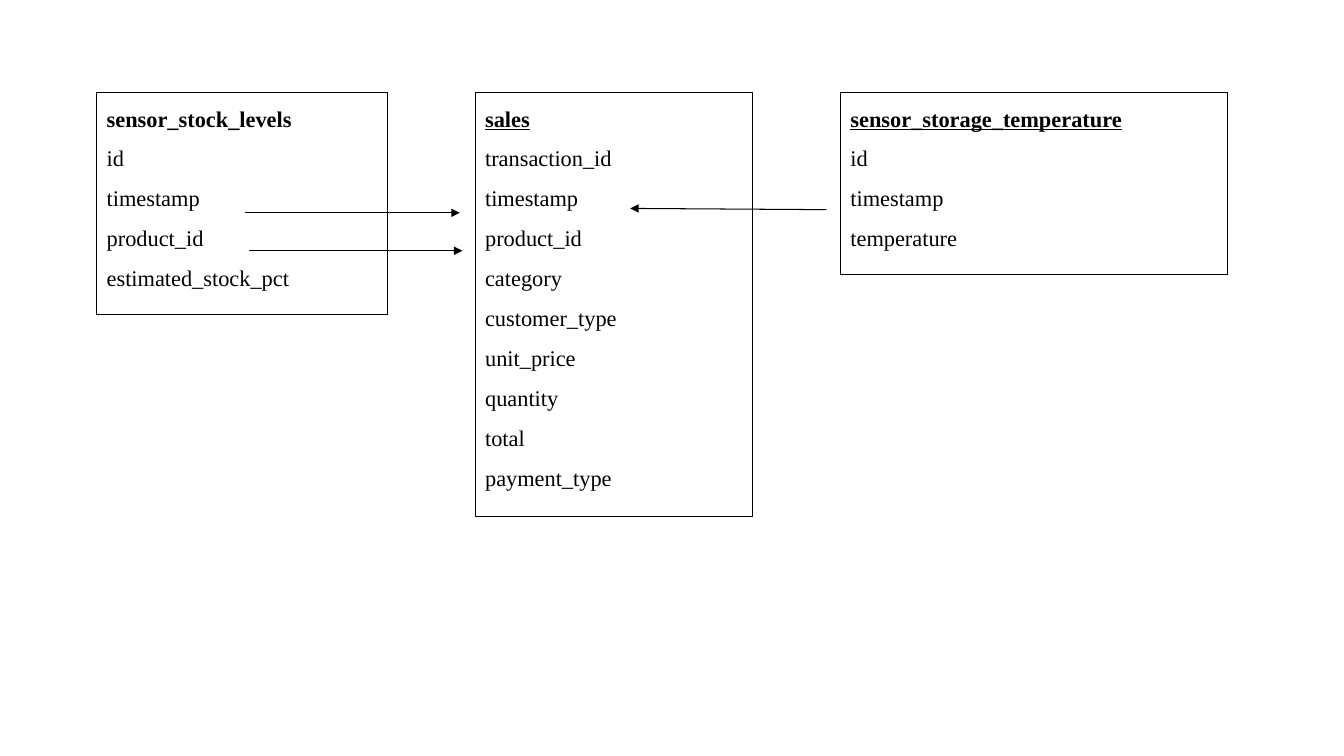
from lxml import etree
from pptx import Presentation
from pptx.dml.color import RGBColor
from pptx.enum.shapes import MSO_CONNECTOR, MSO_SHAPE
from pptx.enum.text import MSO_ANCHOR, MSO_AUTO_SIZE, PP_ALIGN
from pptx.oxml.ns import qn
from pptx.util import Inches, Pt

RECT = MSO_SHAPE.RECTANGLE
STRAIGHT = MSO_CONNECTOR.STRAIGHT
TOP, LEFT = MSO_ANCHOR.TOP, PP_ALIGN.LEFT
GROW = MSO_AUTO_SIZE.SHAPE_TO_FIT_TEXT

SLIDE_W, SLIDE_H = 13.33, 7.5
GRID_TOP = 0.92
ROW_H = 0.4
INSET = 0.1
INK = "000000"

# left and width in percent of the slide width, title underlined, title, fields
ENTITIES = [
    (35.36, 20.67, True, "sales",
     ["transaction_id", "timestamp", "product_id", "category", "customer_type",
      "unit_price", "quantity", "total", "payment_type"]),
    (62.54, 28.79, True, "sensor_storage_temperature",
     ["id", "timestamp", "temperature"]),
    (7.2, 21.64, False, "sensor_stock_levels",
     ["id", "timestamp", "product_id", "estimated_stock_pct"]),
]

# (percent across, rows down) of the start and of the arrowhead
RELATIONS = [
    ((18.53, 3.92), (34.4, 3.92)),
    ((18.23, 2.98), (34.21, 2.98)),
    ((61.48, 2.9), (46.89, 2.87)),
]


def color(value):
    return RGBColor.from_string(value)


def across(percent):
    return Inches(SLIDE_W * percent / 100)


def down(rows):
    return Inches(GRID_TOP + ROW_H * rows)


def style_line(line):
    line.color.rgb = color(INK)
    line.width = Pt(0.75)


def write(p, text, bold=False, underline=False, size=16, font="Times New Roman"):
    p.alignment = LEFT
    p.line_spacing = 1.07
    p.space_after = Pt(8)
    r = p.add_run()
    r.text = text
    r.font.name = font
    r.font.size = Pt(size)
    r.font.bold = bold
    r.font.underline = underline
    r.font.color.rgb = color(INK)


def add_entity(s, left, width, underline, title, fields):
    height = Inches(ROW_H * (len(fields) + 1) + 2 * INSET)
    sp = s.shapes.add_shape(RECT, across(left), down(0), across(width), height)
    sp.shadow.inherit = False
    sp.fill.background()
    style_line(sp.line)
    tf = sp.text_frame
    tf.word_wrap = True
    tf.auto_size = GROW
    tf.vertical_anchor = TOP
    tf.margin_left = tf.margin_right = Inches(INSET)
    tf.margin_top = tf.margin_bottom = Inches(INSET)
    write(tf.paragraphs[0], title, bold=True, underline=underline)
    for field in fields:
        write(tf.add_paragraph(), field)


def add_arrow(s, start, end):
    cx = s.shapes.add_connector(STRAIGHT, across(start[0]), down(start[1]),
                                across(end[0]), down(end[1]))
    style_line(cx.line)
    sp_pr = cx._element.spPr
    etree.SubElement(sp_pr.find(qn("a:ln")), qn("a:tailEnd"), type="triangle")
    etree.SubElement(sp_pr, qn("a:effectLst"))


def main():
    prs = Presentation()
    prs.slide_width, prs.slide_height = Inches(SLIDE_W), Inches(SLIDE_H)
    s = prs.slides.add_slide(prs.slide_layouts[6])
    for entity in ENTITIES:
        add_entity(s, *entity)
    for start, end in RELATIONS:
        add_arrow(s, start, end)
    prs.save("out.pptx")


if __name__ == "__main__":
    main()
